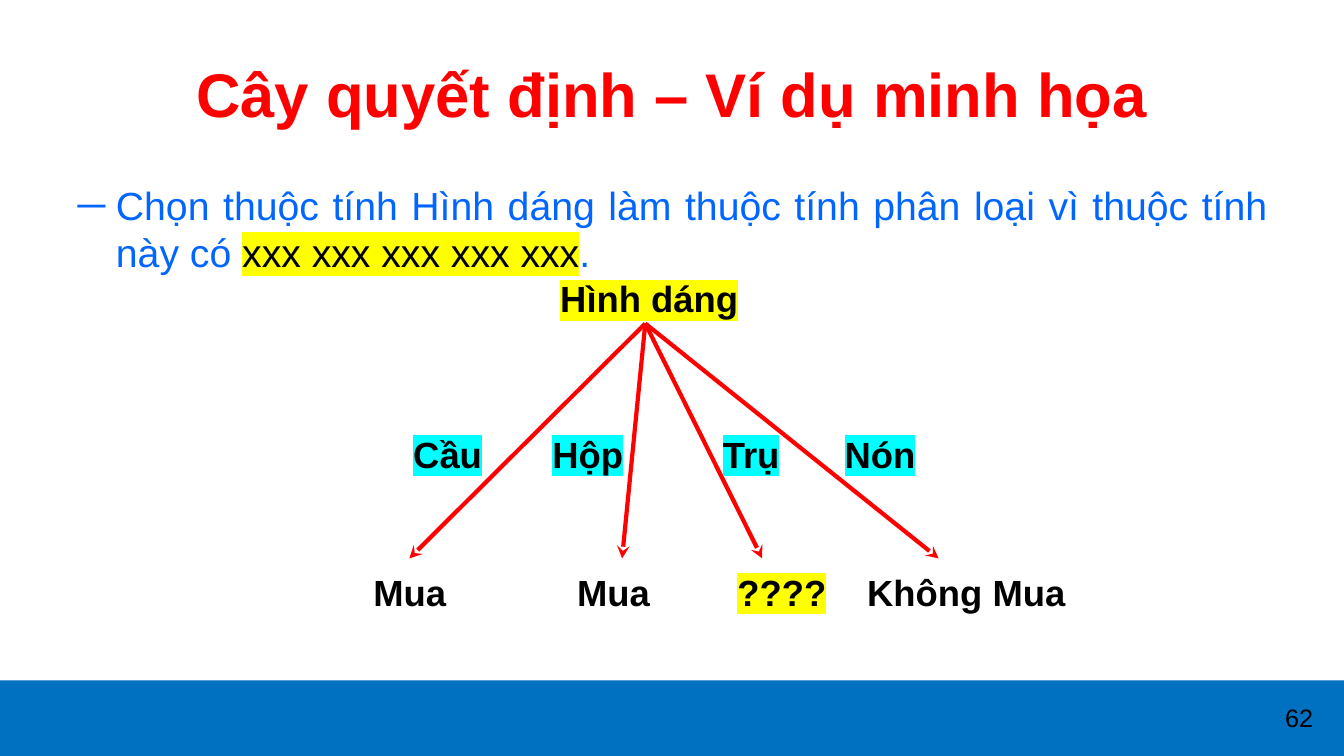
"""Build the decision tree example slide."""
from dataclasses import dataclass
from typing import Optional

from lxml.etree import SubElement
from pptx import Presentation
from pptx.dml.color import RGBColor
from pptx.enum.shapes import MSO_CONNECTOR, MSO_SHAPE
from pptx.enum.text import MSO_ANCHOR, MSO_AUTO_SIZE, PP_ALIGN
from pptx.oxml.ns import qn
from pptx.util import Inches, Pt

RED = RGBColor(0xFF, 0x00, 0x00)
BLUE = RGBColor(0x00, 0x66, 0xFF)
FOOTER_BLUE = RGBColor(0x00, 0x70, 0xC0)
BLACK = RGBColor(0x00, 0x00, 0x00)
YELLOW = RGBColor(0xFF, 0xFF, 0x00)
CYAN = RGBColor(0x00, 0xFF, 0xFF)

ROOT_X, ROOT_Y = 6.4, 3.21
TIP_Y, VALUE_TOP, OUTCOME_TOP = 5.54, 4.21, 5.58
LABEL_HEIGHT = 0.58


@dataclass
class Label:
    text: str
    left: float
    top: float
    width: float
    highlight: Optional[RGBColor] = None


@dataclass
class Branch:
    tip_x: float
    value: Label
    outcome: Label


BRANCHES = [
    Branch(4.06, Label("Cầu", 3.69, VALUE_TOP, 1.5, CYAN),
           Label("Mua", 3.23, OUTCOME_TOP, 1.67)),
    Branch(6.17, Label("Hộp", 5.08, VALUE_TOP, 1.5, CYAN),
           Label("Mua", 5.25, OUTCOME_TOP, 1.67)),
    Branch(7.56, Label("Trụ", 6.7, VALUE_TOP, 1.5, CYAN),
           Label("????", 6.92, OUTCOME_TOP, 1.67, YELLOW)),
    Branch(9.31, Label("Nón", 7.98, VALUE_TOP, 1.5, CYAN),
           Label("Không Mua", 8.25, OUTCOME_TOP, 2.67)),
]


def format_run(r, size: float, color: RGBColor, bold: bool = False,
               highlight: Optional[RGBColor] = None) -> None:
    """Set the font of a run and its optional highlight."""
    r.font.name = "Arial"
    r.font.size = Pt(size)
    r.font.bold = bold
    r.font.color.rgb = color
    if highlight is not None:
        rPr = r.font._element
        mark = SubElement(rPr, qn("a:highlight"))
        SubElement(mark, qn("a:srgbClr"), val=str(highlight))
        rPr.find(qn("a:solidFill")).addnext(mark)


def place(sp, left: float, top: float, width: float, height: float) -> None:
    """Move and size a shape, in inches."""
    sp.left, sp.top = Inches(left), Inches(top)
    sp.width, sp.height = Inches(width), Inches(height)


def add_footer(s) -> None:
    """Draw the footer band and the slide number."""
    sp = s.shapes.add_shape(MSO_SHAPE.RECTANGLE, Inches(0), Inches(6.75),
                            Inches(13.33), Inches(0.75))
    sp.shadow.inherit = False
    sp.fill.solid()
    sp.fill.fore_color.rgb = FOOTER_BLUE
    sp.line.fill.background()
    tf = s.shapes.add_textbox(Inches(12.44), Inches(6.92),
                              Inches(0.89), Inches(0.4)).text_frame
    tf.word_wrap = True
    tf.text = "62"
    p = tf.paragraphs[0]
    p.alignment = PP_ALIGN.CENTER
    format_run(p.runs[0], 18, BLACK)


def fill_title(s) -> None:
    """Write the title placeholder."""
    sp = s.shapes.title
    place(sp, 0.67, 0.3, 12, 1.25)
    tf = sp.text_frame
    tf.text = "Cây quyết định – Ví dụ minh họa"
    tf.auto_size = MSO_AUTO_SIZE.NONE
    tf.vertical_anchor = MSO_ANCHOR.MIDDLE
    p = tf.paragraphs[0]
    p.alignment = PP_ALIGN.CENTER
    format_run(p.runs[0], 44, RED, bold=True)


def fill_body(s) -> None:
    """Write the bulleted body placeholder."""
    sp = s.placeholders[1]
    place(sp, 0.67, 1.75, 12, 4.95)
    tf = sp.text_frame
    tf.auto_size = MSO_AUTO_SIZE.NONE
    p = tf.paragraphs[0]
    p.alignment = PP_ALIGN.JUSTIFY
    p.space_before = Pt(0)
    pPr = p._p.get_or_add_pPr()
    pPr.set("marL", str(Inches(0.38)))
    pPr.set("indent", str(Inches(-0.38)))
    SubElement(pPr, qn("a:buFont"), typeface="Arial")
    SubElement(pPr, qn("a:buChar"), char="─")
    for text, color, highlight in (
        ("Chọn thuộc tính Hình dáng làm thuộc tính phân loại "
         "vì thuộc tính này có ", BLUE, None),
        ("xxx xxx xxx xxx xxx", BLACK, YELLOW),
        (".", BLUE, None),
    ):
        r = p.add_run()
        r.text = text
        format_run(r, 28, color, highlight=highlight)


def add_label(s, label: Label) -> None:
    """Draw a bold centred tree label."""
    tf = s.shapes.add_textbox(Inches(label.left), Inches(label.top),
                              Inches(label.width),
                              Inches(LABEL_HEIGHT)).text_frame
    tf.word_wrap = True
    tf.vertical_anchor = MSO_ANCHOR.MIDDLE
    tf.text = label.text
    p = tf.paragraphs[0]
    p.alignment = PP_ALIGN.CENTER
    format_run(p.runs[0], 26, BLACK, bold=True, highlight=label.highlight)


def add_arrow(s, tip_x: float) -> None:
    """Draw an arrow from the root to a leaf."""
    sp = s.shapes.add_connector(MSO_CONNECTOR.STRAIGHT,
                                Inches(ROOT_X), Inches(ROOT_Y),
                                Inches(tip_x), Inches(TIP_Y))
    sp.line.color.rgb = RED
    sp.line.width = Pt(3)
    SubElement(sp.line._get_or_add_ln(), qn("a:tailEnd"), type="stealth")
    SubElement(sp._element.spPr, qn("a:effectLst"))


def main() -> None:
    """Create and save the presentation."""
    prs = Presentation()
    prs.slide_width, prs.slide_height = Inches(13.33), Inches(7.5)
    s = prs.slides.add_slide(prs.slide_layouts[1])
    add_footer(s)
    fill_title(s)
    fill_body(s)
    add_label(s, Label("Hình dáng", 5.23, 2.67, 2.42, YELLOW))
    for branch in BRANCHES:
        add_arrow(s, branch.tip_x)
        add_label(s, branch.value)
        add_label(s, branch.outcome)
    prs.save("out.pptx")


if __name__ == "__main__":
    main()
